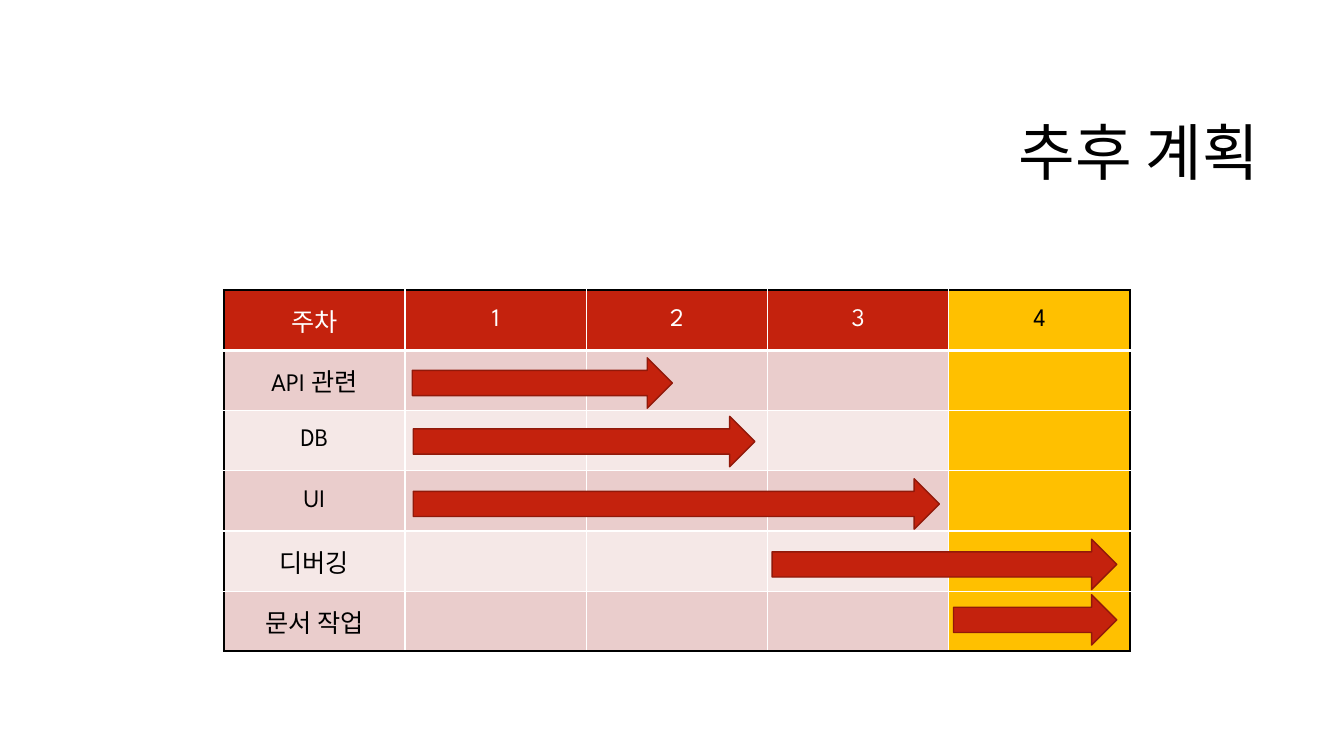
import pptx
import pptx.dml.color
import pptx.enum.shapes
import pptx.enum.text
import pptx.oxml
import pptx.oxml.ns
import pptx.util
from lxml import etree

Pt = pptx.util.Pt
RGBColor = pptx.dml.color.RGBColor
Align = pptx.enum.text.PP_ALIGN
Anchor = pptx.enum.text.MSO_ANCHOR
qn = pptx.oxml.ns.qn

RED = RGBColor(0xC4, 0x22, 0x0D)
DARK_RED = RGBColor(0x91, 0x19, 0x0A)
ROSE = RGBColor(0xEA, 0xCD, 0xCC)
PALE_ROSE = RGBColor(0xF5, 0xE8, 0xE7)
AMBER = RGBColor(0xFF, 0xC0, 0x00)
BLACK = RGBColor(0, 0, 0)
WHITE = RGBColor(0xFF, 0xFF, 0xFF)

TITLE_FONT = "Noto Sans CJK KR"
TABLE_FONT = "League Spartan"

HEADER = ["주차", "1", "2", "3", "4"]
# Task, then its arrow: left from the table edge, top from the row edge, width
TASKS = [
    ("API 관련", 134.7, 5.2, 185.8),
    ("DB", 135.4, 4, 244),
    ("UI", 135.4, 5.6, 375.8),
    ("디버깅", 391.7, 5.8, 246.2),
    ("문서 작업", 521.3, 2.4, 116.6),
]
ARROW_HEIGHT = 36


def style_paragraph(paragraph, font_name, size, color, alignment):
    paragraph.alignment = alignment
    paragraph.font.name = font_name
    paragraph.font.size = Pt(size)
    paragraph.font.color.rgb = color
    # Hangul takes the East Asian font
    properties = paragraph.font._element
    etree.SubElement(properties, qn("a:ea")).set("typeface", TITLE_FONT)


def set_borders(cell, borders):
    """Add borders given as (color, width) in the order left, right, top, bottom."""
    properties = cell._tc.get_or_add_tcPr()
    for index, (side, (color, width)) in enumerate(zip("LRTB", borders)):
        line = etree.Element(qn(f"a:ln{side}"), w=str(Pt(width)))
        fill = etree.SubElement(line, qn("a:solidFill"))
        etree.SubElement(fill, qn("a:srgbClr")).set("val", str(color))
        properties.insert(index, line)


def add_title(slide, left, top, width, height):
    box = slide.shapes.add_textbox(Pt(left), Pt(top), Pt(width), Pt(height))
    frame = box.text_frame
    frame.word_wrap = True
    frame.vertical_anchor = Anchor.MIDDLE
    paragraph = frame.paragraphs[0]
    paragraph.text = "추후 계획"
    paragraph.line_spacing = 0.9
    style_paragraph(paragraph, TITLE_FONT, 44, BLACK, Align.RIGHT)


def add_schedule(slide, left, top, width, height):
    rows = [HEADER] + [[task[0]] + [""] * (len(HEADER) - 1) for task in TASKS]
    last_row, last_column = len(rows) - 1, len(HEADER) - 1
    row_height = height / len(rows)
    table = slide.shapes.add_table(
        len(rows), len(HEADER), Pt(left), Pt(top), Pt(width), Pt(height)).table
    for column in table.columns:
        column.width = Pt(width / len(HEADER))

    # Cells: red header, banded rows, amber last week, black outer frame
    outer, inner, under_header = (BLACK, 1.5), (WHITE, 1), (WHITE, 3)
    for row, texts in enumerate(rows):
        table.rows[row].height = Pt(row_height)
        band = RED if row == 0 else ROSE if row % 2 else PALE_ROSE
        for column, text in enumerate(texts):
            cell = table.cell(row, column)
            cell.vertical_anchor = Anchor.MIDDLE
            cell.fill.solid()
            cell.fill.fore_color.rgb = AMBER if column == last_column else band
            set_borders(cell, [
                outer if column == 0 else inner,
                outer if column == last_column else inner,
                outer if row == 0 else under_header if row == 1 else inner,
                outer if row == last_row else under_header if row == 0 else inner,
            ])
            paragraph = cell.text_frame.paragraphs[0]
            paragraph.text = text
            color = WHITE if row == 0 and column < last_column else BLACK
            style_paragraph(paragraph, TABLE_FONT, 18, color, Align.CENTER)

    # Arrows spanning the weeks of each task
    for row, (_, offset, drop, length) in enumerate(TASKS, start=1):
        arrow = slide.shapes.add_shape(
            pptx.enum.shapes.MSO_SHAPE.RIGHT_ARROW,
            Pt(left + offset), Pt(top + row * row_height + drop),
            Pt(length), Pt(ARROW_HEIGHT))
        arrow.shadow.inherit = False
        arrow.fill.solid()
        arrow.fill.fore_color.rgb = RED
        arrow.line.color.rgb = DARK_RED
        arrow.line.width = Pt(1)


def main():
    presentation = pptx.Presentation()
    presentation.slide_width = Pt(960)
    presentation.slide_height = Pt(540)
    slide = presentation.slides.add_slide(presentation.slide_layouts[6])
    add_title(slide, 228.2, 60.5, 678.2, 101.5)
    add_schedule(slide, 159.8, 207.4, 647.5, 258)
    presentation.save("out.pptx")


if __name__ == "__main__":
    main()
